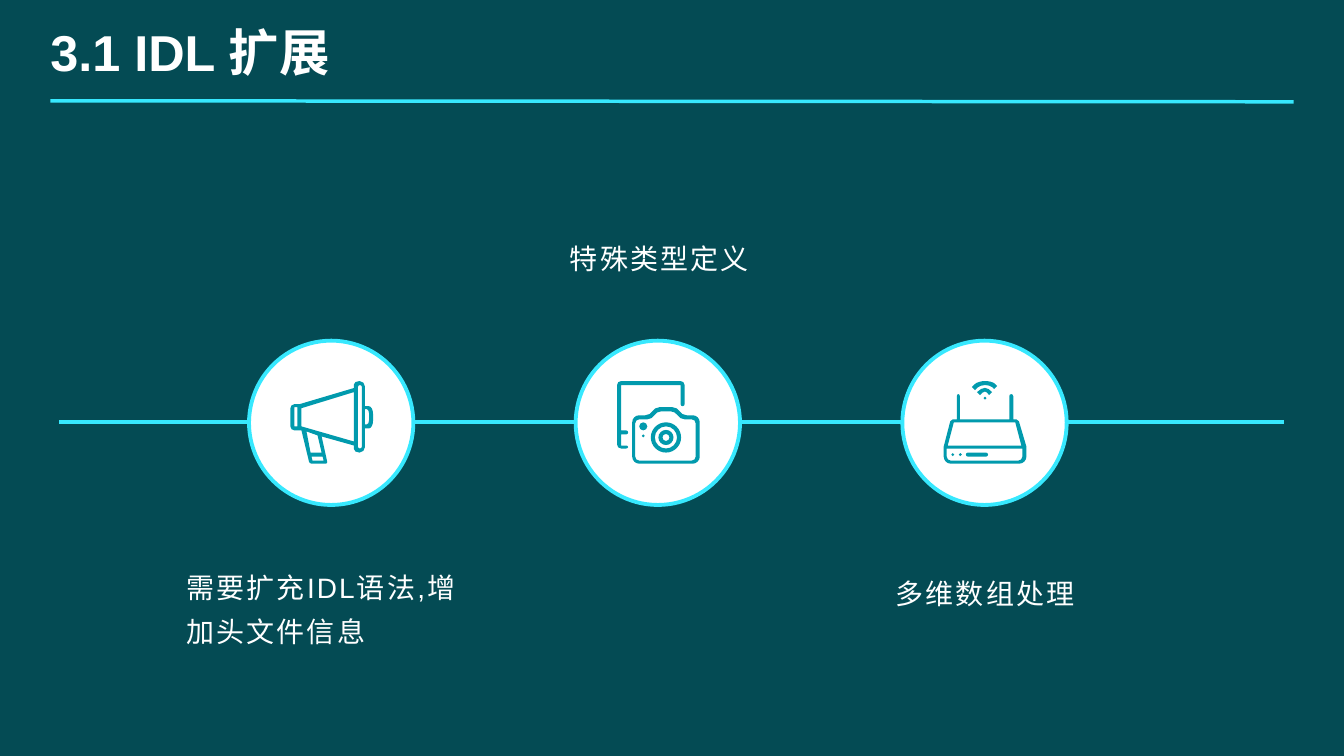
from dataclasses import dataclass
from math import dist
from typing import NamedTuple

from lxml import etree
from pptx import Presentation
from pptx import util as u
from pptx.dml.color import RGBColor
from pptx.enum import shapes, text
from pptx.oxml import ns

DARK_TEAL, TEAL, CYAN, WHITE = "044B54", "019AAD", "37E8FE", "FFFFFF"
CIRCLE_SIZE = 1.63
CIRCLE_TOP = 3.38
CIRCLE_LEFT = 2.47
CIRCLE_STEP = 3.24
ICON_LEFT_INSET = 0.41
ICON_TOP_INSET = 0.4
ICON_UNIT = 0.01
HANDLE_SHARE = 0.45


class Corner(NamedTuple):
    x: float
    y: float
    radius: float = 0


class Node(NamedTuple):
    x: float
    y: float
    opens_curve: bool = False


class Rule(NamedTuple):
    start: tuple[float, float]
    end: tuple[float, float]
    width: float


@dataclass
class Label:
    content: str
    left: float
    top: float
    width: float
    height: float
    size: float = 20
    bold: bool = False
    align: text.PP_ALIGN = text.PP_ALIGN.CENTER
    anchor: text.MSO_ANCHOR = text.MSO_ANCHOR.TOP
    line_spacing: float = 1.3
    letter_spacing: float = 1.5
    margins: tuple[float, float] = (0.1, 0.05)


Outline = list[Corner]


def outline(*corners: tuple[float, ...]) -> Outline:
    return [Corner(*corner) for corner in corners]


def box(left: float, top: float, right: float, bottom: float, radius: float = 0) -> Outline:
    return outline((left, top, radius), (right, top, radius),
                   (right, bottom, radius), (left, bottom, radius))


def disc(x: float, y: float, radius: float) -> Outline:
    return box(x - radius, y - radius, x + radius, y + radius, radius)


MEGAPHONE = [
    outline((74, 0, 5.5), (74, 25), (82, 25, 8), (82, 47, 8), (74, 47), (74, 71, 5.5),
            (63, 71, 5.5), (63, 64), (31, 55), (37, 82, 2), (19, 82, 2), (11, 49),
            (0, 49, 4), (0, 23, 4), (9, 23), (63, 7), (63, 0, 5.5)),
    outline((74, 28), (78, 28, 4), (78, 43, 4), (74, 43)),
    box(67, 4, 71, 67, 2),
    outline((63, 11), (63, 60), (11, 45), (11, 27)),
    outline((31, 71), (20, 71), (16, 50), (27, 54)),
    outline((33, 79), (22, 79), (21, 75), (32, 75)),
    box(4, 26, 7, 45),
]
CAMERA = [
    outline((0, 0, 4), (67, 0, 4), (67, 25, 2), (63, 25, 2), (63, 4), (4, 4), (4, 49),
            (11, 49, 2), (11, 53, 2), (4, 53), (4, 64), (11, 64, 2), (11, 67, 2), (0, 67, 4)),
    outline((15, 34, 7), (33, 34, 5), (37, 26, 5), (60, 26, 5), (64, 34, 5),
            (82, 34, 7), (82, 82, 7), (15, 82, 7)),
    outline((18, 38, 4), (35, 38, 5), (39, 30, 5), (58, 30, 5), (62, 38, 5),
            (78, 38, 4), (78, 79, 4), (18, 79, 4)),
    disc(26, 45, 4),
    disc(26, 54.5, 1.5),
    *[disc(48.5, 56, radius) for radius in (15, 11, 7.5, 3.5)],
]
ROUTER = [
    outline((7, 38, 2), (13, 38), (13, 13, 2), (16, 13, 2), (16, 38), (65, 38),
            (65, 13, 2), (69, 13, 2), (69, 38), (74, 38, 2), (82, 65),
            (82, 82, 7), (0, 82, 7), (0, 65)),
    outline((10, 41), (71, 41), (77, 64), (4, 64)),
    outline((3, 67), (78, 67), (78, 79, 4), (3, 79, 4)),
    box(22, 71, 44, 75, 2),
    disc(16.5, 73, 1.5),
    disc(9, 73, 1.5),
    disc(41, 17, 1.5),
    outline((33, 11), (41, 5, 9), (48, 11), (45, 14), (41, 9, 6), (36, 14)),
    outline((28, 6), (34, 0, 7), (48, 0, 7), (53, 5), (50, 8), (46, 4, 6),
            (36, 4, 6), (31, 9)),
]
ICONS = [MEGAPHONE, CAMERA, ROUTER]

TIMELINE = Rule((0.59, 4.19), (12.74, 4.19), 2.75)
TITLE_RULE = Rule((0.5, 1), (12.83, 1.01), 2.5)

LABELS = [
    Label("特殊类型定义", 5.01, 2.25, 3.06, 1.59),
    Label("需要扩充IDL语法,增加头文件信息", 1.75, 5.51, 3.06, 1.59, align=text.PP_ALIGN.LEFT),
    Label("多维数组处理", 8.24, 5.57, 3.06, 1.59),
    Label("3.1 IDL 扩展", 0.5, 0.17, 12.33, 0.67, size=36, bold=True,
          align=text.PP_ALIGN.LEFT, anchor=text.MSO_ANCHOR.MIDDLE,
          line_spacing=1, letter_spacing=0, margins=(0, 0)),
]


def color(value: str) -> RGBColor:
    return RGBColor.from_string(value)


def paint(fill, value: str) -> None:
    fill.solid()
    fill.fore_color.rgb = color(value)


def toward(corner: Corner, other: Corner, factor: float, opens_curve: bool = False) -> Node:
    share = factor * min(corner.radius / dist(corner[:2], other[:2]), 0.5)
    return Node(corner.x + (other.x - corner.x) * share,
                corner.y + (other.y - corner.y) * share, opens_curve)


def trace(corners: Outline) -> list[Node]:
    nodes: list[Node] = []
    for index, corner in enumerate(corners):
        if not corner.radius:
            nodes.append(Node(corner.x, corner.y))
            continue
        before, after = corners[index - 1], corners[(index + 1) % len(corners)]
        entry = toward(corner, before, 1)
        if not nodes or dist(nodes[-1][:2], entry[:2]) > 0.1:
            nodes.append(entry)
        nodes += [toward(corner, before, HANDLE_SHARE, True),
                  toward(corner, after, HANDLE_SHARE), toward(corner, after, 1)]
    return nodes


def add_icon(slide, icon: list[Outline], left: float, top: float) -> None:
    traces = [trace(corners) for corners in icon]
    builder = None
    for nodes in traces:
        points = [(u.Inches(left + node.x * ICON_UNIT), u.Inches(top + node.y * ICON_UNIT))
                  for node in nodes]
        if builder is None:
            builder = slide.shapes.build_freeform(*points[0])
        else:
            builder.move_to(*points[0])
        builder.add_line_segments(points[1:], close=True)
    shape = builder.convert_to_shape()
    shape.shadow.inherit = False
    paint(shape.fill, TEAL)
    shape.line.fill.background()
    steps = list(shape._element.iter(ns.qn("a:moveTo"), ns.qn("a:lnTo")))
    for index, node in enumerate(node for nodes in traces for node in nodes):
        if node.opens_curve:
            first, *others = steps[index:index + 3]
            curve = etree.Element(ns.qn("a:cubicBezTo"))
            first.addprevious(curve)
            for step in (first, *others):
                curve.append(step[0])
                step.getparent().remove(step)


def add_circle(slide, left: float) -> None:
    shape = slide.shapes.add_shape(shapes.MSO_SHAPE.OVAL, u.Inches(left), u.Inches(CIRCLE_TOP),
                                   u.Inches(CIRCLE_SIZE), u.Inches(CIRCLE_SIZE))
    shape.shadow.inherit = False
    paint(shape.fill, WHITE)
    shape.line.color.rgb = color(CYAN)
    shape.line.width = u.Pt(2.75)


def add_rule(slide, rule: Rule) -> None:
    ends = [u.Inches(value) for value in (*rule.start, *rule.end)]
    connector = slide.shapes.add_connector(shapes.MSO_CONNECTOR.STRAIGHT, *ends)
    connector.line.color.rgb = color(CYAN)
    connector.line.width = u.Pt(rule.width)
    etree.SubElement(connector._element.spPr, ns.qn("a:effectLst"))


def add_label(slide, label: Label) -> None:
    shape = slide.shapes.add_textbox(u.Inches(label.left), u.Inches(label.top),
                                     u.Inches(label.width), u.Inches(label.height))
    frame = shape.text_frame
    frame.word_wrap = True
    frame.vertical_anchor = label.anchor
    frame.margin_left = frame.margin_right = u.Inches(label.margins[0])
    frame.margin_top = frame.margin_bottom = u.Inches(label.margins[1])
    paragraph = frame.paragraphs[0]
    paragraph.alignment = label.align
    paragraph.line_spacing = label.line_spacing
    run = paragraph.add_run()
    run.text = label.content
    run._r.get_or_add_rPr().set("spc", str(int(label.letter_spacing * 100)))
    paragraph.font.name = "Arial"
    paragraph.font.size = u.Pt(label.size)
    paragraph.font.bold = label.bold
    paragraph.font.color.rgb = color(WHITE)


def main() -> None:
    presentation = Presentation()
    presentation.slide_width, presentation.slide_height = u.Inches(13.33), u.Inches(7.5)
    slide = presentation.slides.add_slide(presentation.slide_layouts[6])
    paint(slide.background.fill, DARK_TEAL)
    add_rule(slide, TIMELINE)
    for index, icon in enumerate(ICONS):
        left = CIRCLE_LEFT + index * CIRCLE_STEP
        add_circle(slide, left)
        add_icon(slide, icon, left + ICON_LEFT_INSET, CIRCLE_TOP + ICON_TOP_INSET)
    add_rule(slide, TITLE_RULE)
    for label in LABELS:
        add_label(slide, label)
    presentation.save("out.pptx")


if __name__ == "__main__":
    main()
